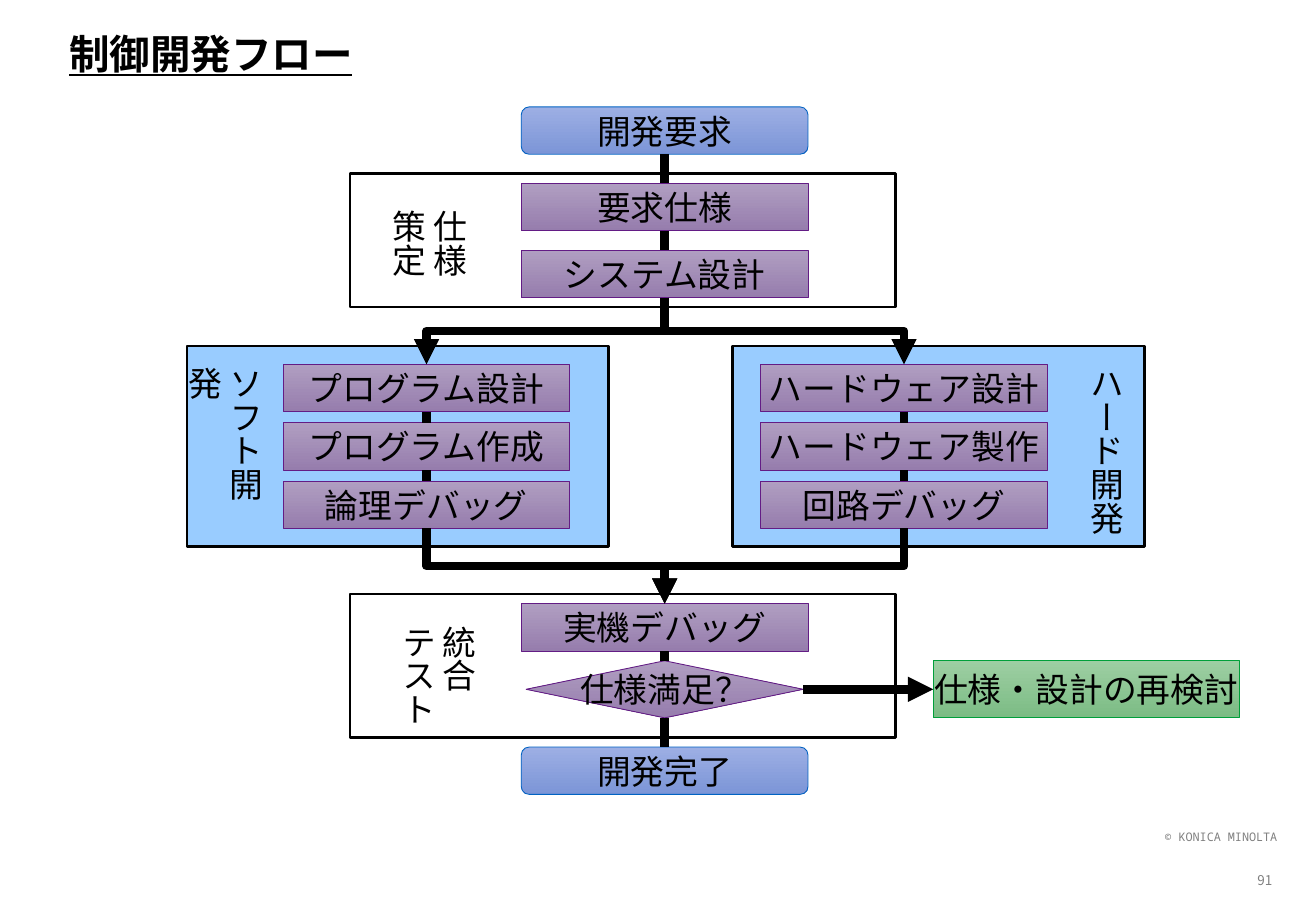
from itertools import pairwise

from lxml.etree import SubElement
from pptx import Presentation
from pptx.dml.color import RGBColor
from pptx.enum.shapes import MSO_CONNECTOR, MSO_SHAPE
from pptx.enum.text import MSO_ANCHOR, MSO_AUTO_SIZE, PP_ALIGN
from pptx.oxml.ns import qn
from pptx.util import Inches, Pt

BLACK = RGBColor(0x00, 0x00, 0x00)
GRAY = RGBColor(0x80, 0x80, 0x80)
SKY = RGBColor(0x99, 0xCC, 0xFF)
# Each style: gradient top, gradient bottom, outline
PURPLE = (RGBColor(0xB0, 0x9E, 0xC1), RGBColor(0x96, 0x7D, 0xAD), RGBColor(0x63, 0x1C, 0x85))
BLUE = (RGBColor(0x9D, 0xAF, 0xE4), RGBColor(0x7C, 0x95, 0xD7), RGBColor(0x00, 0x62, 0xC2))
GREEN = (RGBColor(0x9D, 0xCE, 0xA3), RGBColor(0x7C, 0xBC, 0x84), RGBColor(0x00, 0x9F, 0x3A))
SANS = "Noto Sans CJK JP"
MONO = "Noto Sans Mono"
STEP_W, STEP_H = 2.36, 0.39
TOP, LEFT, BOTTOM, RIGHT = range(4)


def set_font(p, size, color=BLACK, name=SANS):
    p.font.name = name
    p.font.size = Pt(size)
    p.font.color.rgb = color
    SubElement(p._p.pPr.find(qn("a:defRPr")), qn("a:ea"), typeface=name)


def add_text(s, box, lines, size, color=BLACK, name=SANS, align=PP_ALIGN.LEFT,
             anchor=MSO_ANCHOR.TOP, wrap=True):
    tf = s.shapes.add_textbox(*map(Inches, box)).text_frame
    tf.word_wrap = wrap
    tf.vertical_anchor = anchor
    tf.text = "\n".join(lines)
    for p in tf.paragraphs:
        p.alignment = align
        set_font(p, size, color, name)
    return tf


def add_box(s, box, text, style=PURPLE, kind=MSO_SHAPE.RECTANGLE):
    """Add a gradient flow box with centred text."""
    top, bottom, outline = style
    sp = s.shapes.add_shape(kind, *map(Inches, box))
    sp.shadow.inherit = False
    sp.fill.gradient()
    sp.fill.gradient_angle = 270
    for stop, color in zip(sp.fill.gradient_stops, (top, bottom)):
        stop.color.rgb = color
    sp.line.color.rgb = outline
    sp.line.width = Pt(0.5)
    tf = sp.text_frame
    tf.word_wrap = False
    tf.vertical_anchor = MSO_ANCHOR.MIDDLE
    tf.text = text
    p = tf.paragraphs[0]
    p.alignment = PP_ALIGN.CENTER
    set_font(p, 20)
    return sp


def add_phase(s, box, label, label_box, steps, step_x, step_y, pitch, fill=None, wrap=False):
    """Add a framed phase with a vertical label and return its step boxes."""
    x, y, w, h = box
    frame = s.shapes.add_shape(MSO_SHAPE.RECTANGLE, *map(Inches, box))
    frame.shadow.inherit = False
    if fill is None:
        frame.fill.background()
    else:
        frame.fill.solid()
        frame.fill.fore_color.rgb = fill
    frame.line.color.rgb = BLACK
    frame.line.width = Pt(1.5)
    dx, dy, label_w, label_h = label_box
    tf = add_text(s, (x + dx, y + dy, label_w, label_h), label, 20, wrap=wrap)
    tf.auto_size = MSO_AUTO_SIZE.SHAPE_TO_FIT_TEXT
    tf._txBody.bodyPr.set("vert", "eaVert")
    return [add_box(s, (x + step_x, y + step_y + i * pitch, STEP_W, STEP_H), text)
            for i, text in enumerate(steps)]


def style_connector(c, arrow):
    c.line.color.rgb = BLACK
    c.line.width = Pt(5)
    if arrow:
        SubElement(c.line._get_or_add_ln(), qn("a:tailEnd"), type="triangle")
    SubElement(c._element.spPr, qn("a:effectLst"))


def link(s, start, end, start_side=BOTTOM, end_side=TOP, arrow=False):
    c = s.shapes.add_connector(MSO_CONNECTOR.STRAIGHT, 0, 0, 0, 0)
    c.begin_connect(start, start_side)
    c.end_connect(end, end_side)
    style_connector(c, arrow)


def bend(s, start, end):
    """Add an arrow going down, across and down from one box to another."""
    x1, y1 = start.left + start.width // 2, start.top + start.height
    x2, y2 = end.left + end.width // 2, end.top
    length, span = y2 - y1, abs(x2 - x1)
    left = (x1 + x2 - length) // 2
    top = (y1 + y2 - span) // 2
    ends = (left, left + length)
    rightward = x2 > x1
    begin_x, end_x = reversed(ends) if rightward else ends
    c = s.shapes.add_connector(MSO_CONNECTOR.ELBOW, begin_x, top, end_x, top + span)
    c._element.spPr.find(qn("a:xfrm")).set("rot", str((270 if rightward else 90) * 60000))
    style_connector(c, True)


def add_title(s, box, text):
    tf = add_text(s, box, [text], 24, name=MONO, anchor=MSO_ANCHOR.MIDDLE)
    p = tf.paragraphs[0]
    p.line_spacing = 0.9
    p.font.bold = True
    p.font.underline = True


def add_footer(s, x, y):
    add_text(s, (x, y, 2, 0.22), ["© KONICA MINOLTA"], 7, GRAY, MONO, PP_ALIGN.RIGHT)
    add_text(s, (x + 1.6, y + 0.3, 0.4, 0.33), ["91"], 8, GRAY,
             align=PP_ALIGN.CENTER, anchor=MSO_ANCHOR.MIDDLE)


def add_flow(s, x, y):
    """Add the whole flow chart; x is the left of the central boxes."""
    request, done = [add_box(s, (x, y + dy, STEP_W, STEP_H), text, BLUE,
                             MSO_SHAPE.ROUNDED_RECTANGLE)
                     for dy, text in ((0, "開発要求"), (5.27, "開発完了"))]
    planning = add_phase(s, (x - 1.41, y + 0.55, 4.49, 1.1), ["仕様", "策定"],
                         (0.15, 0.2, 0.88, 0.66), ["要求仕様", "システム設計"],
                         1.41, 0.08, 0.55)
    hardware = add_phase(s, (x + 1.74, y + 1.97, 3.39, 1.65), ["ハード開発"],
                         (2.75, 0.07, 0.54, 1.5),
                         ["ハードウェア設計", "ハードウェア製作", "回路デバッグ"],
                         0.23, 0.15, 0.48, SKY)
    software = add_phase(s, (x - 2.75, y + 1.97, 3.47, 1.65), ["ソフト開発"],
                         (0.15, 0.07, 0.54, 1.5),
                         ["プログラム設計", "プログラム作成", "論理デバッグ"],
                         0.79, 0.15, 0.48, SKY, wrap=True)
    testing = add_phase(s, (x - 1.41, y + 4.01, 4.49, 1.18), ["統合", "テスト"],
                        (0.23, 0.16, 0.88, 0.94), ["実機デバッグ"], 1.41, 0.08, 0)
    decision = add_box(s, (x + 0.04, y + 4.56, 2.28, 0.47), "仕様満足？",
                       kind=MSO_SHAPE.FLOWCHART_DECISION)
    review = add_box(s, (x + 3.39, y + 4.56, 2.52, 0.47), "仕様・設計の再検討", GREEN)

    for chain in ([request, *planning], software, hardware, [*testing, decision, done]):
        for start, end in pairwise(chain):
            link(s, start, end)
    for branch in (software, hardware):
        bend(s, planning[-1], branch[0])
        bend(s, branch[-1], testing[0])
    link(s, decision, review, RIGHT, LEFT, arrow=True)


def main():
    prs = Presentation()
    prs.slide_width, prs.slide_height = Inches(10.83), Inches(7.5)
    s = prs.slides.add_slide(prs.slide_layouts[6])
    add_footer(s, 8.61, 6.78)
    add_title(s, (0.47, 0.21, 8.06, 0.51), "制御開発フロー")
    add_flow(s, 4.29, 0.88)
    prs.save("out.pptx")


if __name__ == "__main__":
    main()
